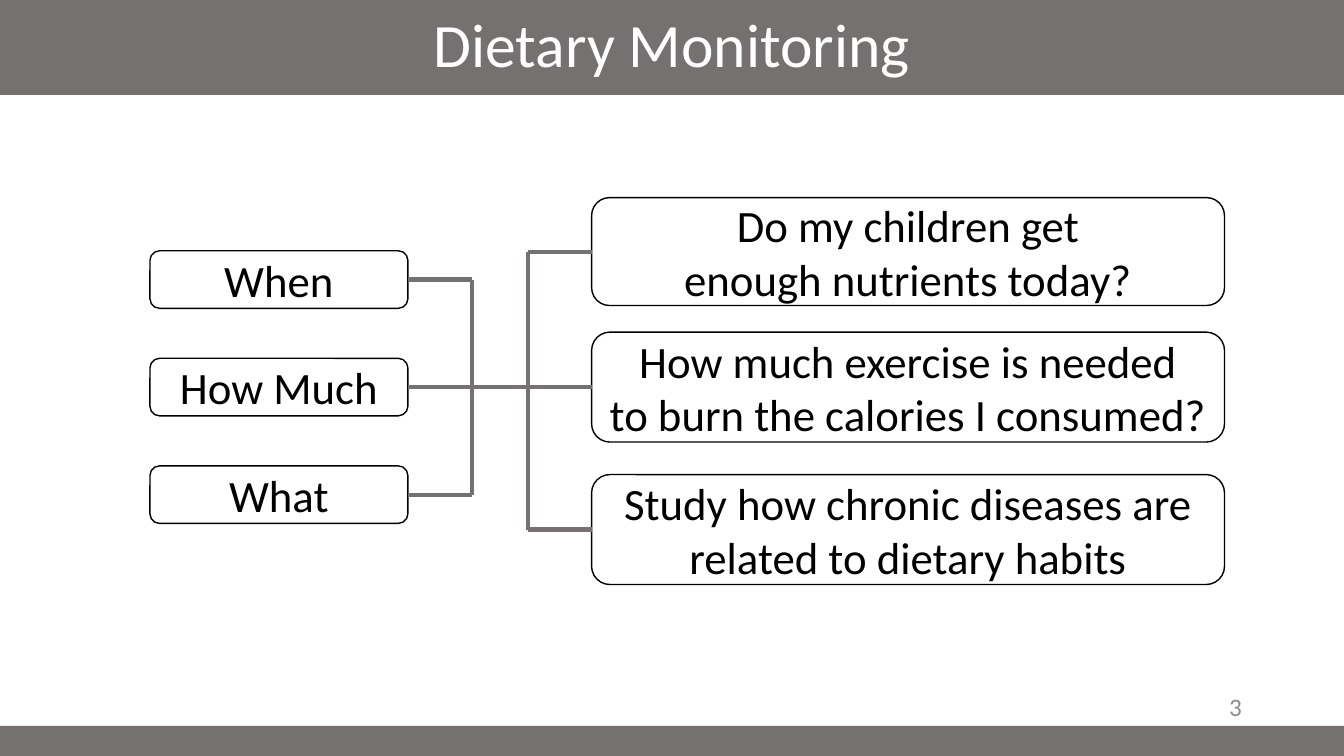
from lxml import etree
from pptx import Presentation
from pptx.dml.color import RGBColor
from pptx.enum.shapes import MSO_CONNECTOR, MSO_SHAPE
from pptx.enum.text import MSO_ANCHOR, MSO_AUTO_SIZE, PP_ALIGN
from pptx.oxml.ns import qn
from pptx.util import Cm, Pt

STRAIGHT = MSO_CONNECTOR.STRAIGHT
RECTANGLE = MSO_SHAPE.RECTANGLE
ROUNDED = MSO_SHAPE.ROUNDED_RECTANGLE
MIDDLE = MSO_ANCHOR.MIDDLE
NO_FIT = MSO_AUTO_SIZE.NONE
CENTER = PP_ALIGN.CENTER
RIGHT = PP_ALIGN.RIGHT
LEFT_SIDE, RIGHT_SIDE = 1, 3

COLORS = {"band": "767171", "white": "FFFFFF", "ink": "000000", "number": "8C8C8C"}
WIDTH, HEIGHT = Cm(33.87), Cm(19.05)
TITLE_HEIGHT, FOOTER_HEIGHT = Cm(2.39), Cm(0.76)

FACTORS = ["When", "How Much", "What"]
FACTOR_LEFT, FACTOR_TOP, FACTOR_STEP = 3.78, 6.32, 2.71
FACTOR_WIDTH, FACTOR_HEIGHT = 6.5, 1.45

QUESTIONS = [
    (4.98, 2.72, ["Do my children get", "enough nutrients today?"]),
    (8.37, 2.77, ["How much exercise is needed", "to burn the calories I consumed?"]),
    (11.96, 2.77, ["Study how chronic diseases are related to dietary habits"]),
]
QUESTION_LEFT, QUESTION_WIDTH = 14.91, 15.95
FACTOR_TRUNK, QUESTION_TRUNK = Cm(11.89), Cm(13.31)


def color(name):
    return RGBColor.from_string(COLORS[name])


def middle_of(box):
    return box.top + box.height // 2


class SlideBuilder:
    font = "Calibri"

    def __init__(self, page):
        self.page = page

    def add_text(self, shape, lines, size, tint, align=CENTER, spacing=None):
        frame = shape.text_frame
        frame.word_wrap = True
        frame.auto_size = NO_FIT
        frame.vertical_anchor = MIDDLE
        for index, line in enumerate(lines):
            para = frame.add_paragraph() if index else frame.paragraphs[0]
            para.alignment = align
            para.line_spacing = spacing
            span = para.add_run()
            span.text = line
            span.font.name = self.font
            span.font.size = Pt(size)
            span.font.color.rgb = color(tint)

    def fill(self, shape, tint):
        shape.fill.solid()
        shape.fill.fore_color.rgb = color(tint)

    def title(self, text):
        title = self.page.shapes.title
        title.left, title.top, title.width, title.height = 0, 0, WIDTH, TITLE_HEIGHT
        self.fill(title, "band")
        self.add_text(title, [text], 44, "white", spacing=0.9)

    def footer(self):
        band = self.page.shapes.add_shape(
            RECTANGLE, 0, HEIGHT - FOOTER_HEIGHT, WIDTH, FOOTER_HEIGHT)
        band.shadow.inherit = False
        self.fill(band, "band")
        band.line.fill.background()

    def page_number(self, text):
        box = self.page.shapes.add_textbox(Cm(23.93), Cm(17.3), Cm(7.62), Cm(1.02))
        self.add_text(box, [text], 18, "number", RIGHT)

    def card(self, left, top, width, height, lines):
        box = self.page.shapes.add_shape(
            ROUNDED, Cm(left), Cm(top), Cm(width), Cm(height))
        box.shadow.inherit = False
        self.fill(box, "white")
        box.line.color.rgb = color("ink")
        box.line.width = Pt(1)
        self.add_text(box, lines, 32, "ink")
        return box

    def line(self, x1, y1, x2, y2):
        line = self.page.shapes.add_connector(STRAIGHT, x1, y1, x2, y2)
        line.line.color.rgb = color("band")
        line.line.width = Pt(3)
        etree.SubElement(line._element.spPr, qn("a:effectLst"))
        return line

    def bracket(self, boxes, trunk, side):
        levels = [middle_of(box) for box in boxes]
        for box, level in zip(boxes, levels):
            branch = self.line(trunk, level, trunk, level)
            branch.end_connect(box, side)
        self.line(trunk, levels[0], trunk, levels[-1])


def main():
    deck = Presentation()
    deck.slide_width, deck.slide_height = WIDTH, HEIGHT
    builder = SlideBuilder(deck.slides.add_slide(deck.slide_layouts[5]))
    builder.footer()
    builder.title("Dietary Monitoring")
    builder.page_number("3")
    factors = [
        builder.card(FACTOR_LEFT, FACTOR_TOP + row * FACTOR_STEP,
                     FACTOR_WIDTH, FACTOR_HEIGHT, [name])
        for row, name in enumerate(FACTORS)
    ]
    questions = [
        builder.card(QUESTION_LEFT, top, QUESTION_WIDTH, height, lines)
        for top, height, lines in QUESTIONS
    ]
    builder.bracket(factors, FACTOR_TRUNK, RIGHT_SIDE)
    builder.bracket(questions, QUESTION_TRUNK, LEFT_SIDE)
    level = middle_of(factors[1])
    builder.line(FACTOR_TRUNK, level, QUESTION_TRUNK, level)
    deck.save("out.pptx")


if __name__ == "__main__":
    main()
